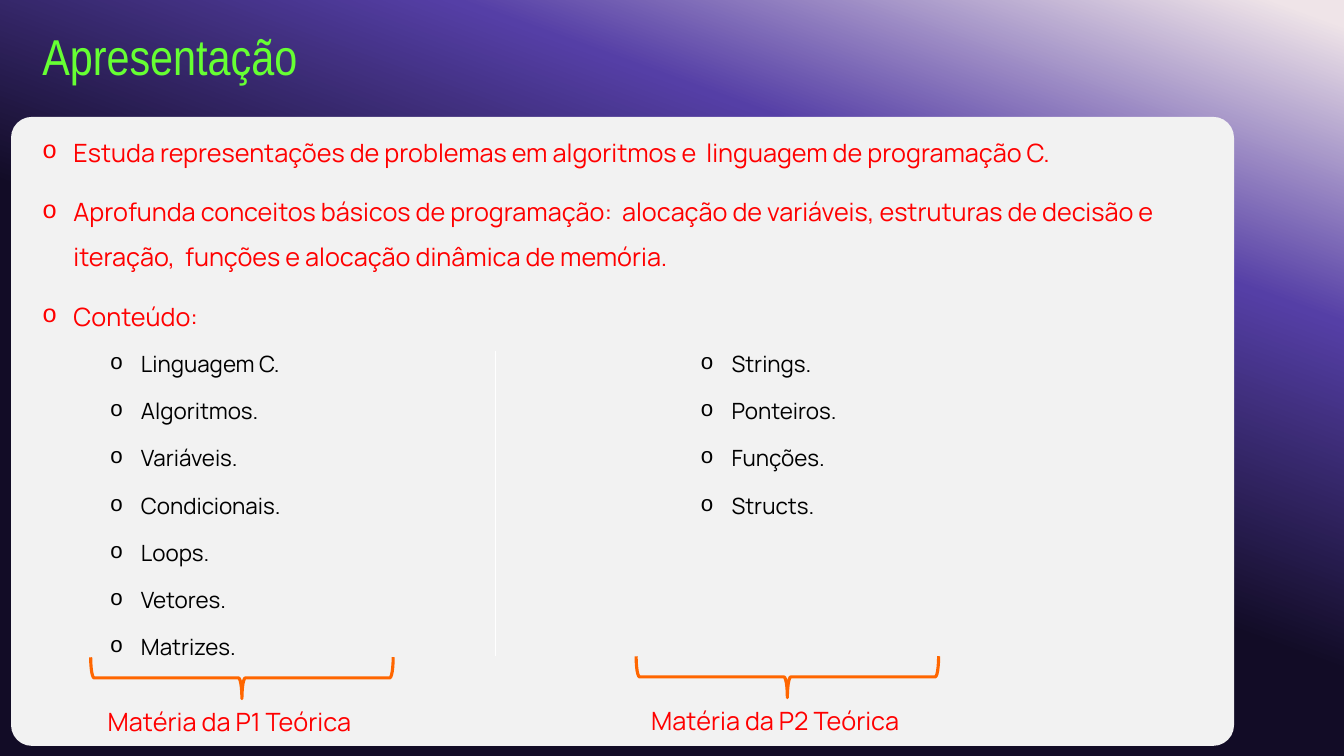
import copy
from collections import namedtuple

import pptx
import pptx.dml.color
import pptx.enum.shapes
import pptx.enum.text
import pptx.oxml.ns
import pptx.util
from lxml import etree

Inches = pptx.util.Inches
Pt = pptx.util.Pt
Box = namedtuple("Box", "left top width height")

RED, ORANGE, BLACK = "FF0000", "FF6600", "000000"
BODY_FONT = "Manrope"

GOALS = [
    "Estuda representações de problemas em algoritmos e  linguagem de programação C.",
    "Aprofunda conceitos básicos de programação:  alocação de variáveis, "
    "estruturas de decisão e iteração,  funções e alocação dinâmica de memória.",
    "Conteúdo:",
]
TOPICS = [
    "Linguagem C.", "Algoritmos.", "Variáveis.", "Condicionais.", "Loops.", "Vetores.",
    "Matrizes.", "Strings.", "Ponteiros.", "Funções.", "Structs.",
]


def color(value):
    return pptx.dml.color.RGBColor.from_string(value)


def lengths(box):
    return [Inches(value) for value in box]


def style(font, size, name, value):
    font.size = Pt(size)
    font.name = name
    font.color.rgb = color(value)


def add_child(parent, tag, **attributes):
    return etree.SubElement(parent, pptx.oxml.ns.qn(tag), attributes)


def paint_background(page, stops, angle):
    fill = page.background.fill
    fill.gradient()
    fill.gradient_angle = 360 - angle
    first = fill.gradient_stops[0]._gs
    for _ in stops[2:]:
        first.addnext(copy.deepcopy(first))
    for stop, (position, value) in zip(fill.gradient_stops, stops):
        stop.position = position
        stop.color.rgb = color(value)


def add_card(page, box):
    card = page.shapes.add_shape(
        pptx.enum.shapes.MSO_SHAPE.ROUNDED_RECTANGLE, *lengths(box))
    card.adjustments[0] = 0.033
    card.shadow.inherit = False
    card.fill.solid()
    card.fill.fore_color.rgb = color("F2F2F2")
    card.line.fill.background()


def set_title(page, box, text):
    title = page.shapes.title
    title.left, title.top, title.width, title.height = lengths(box)
    frame = title.text_frame
    frame.text = text
    frame.auto_size = pptx.enum.text.MSO_AUTO_SIZE.NONE
    frame.vertical_anchor = pptx.enum.text.MSO_ANCHOR.MIDDLE
    para = frame.paragraphs[0]
    para.alignment = pptx.enum.text.PP_ALIGN.LEFT
    para.line_spacing = 0.9
    style(para.runs[0].font, 36, "Arial Narrow", "66FF33")


def add_bullets(page, box, items, size, value, indent, gap, columns=1):
    frame = page.shapes.add_textbox(*lengths(box)).text_frame
    frame.word_wrap = True
    if columns > 1:
        frame._txBody.bodyPr.set("numCol", str(columns))
    for index, item in enumerate(items):
        para = frame.paragraphs[0] if index == 0 else frame.add_paragraph()
        para.text = item
        para.line_spacing = 1.5
        para.space_before = Pt(gap if index else 0)
        properties = para._p.get_or_add_pPr()
        properties.set("marL", str(Inches(indent)))
        properties.set("indent", str(Inches(-0.31)))
        add_child(properties, "a:buFont", typeface="Courier New")
        add_child(properties, "a:buChar", char="o")
        style(para.runs[0].font, size, BODY_FONT, value)


def add_divider(page, left, top, bottom):
    line = page.shapes.add_connector(
        pptx.enum.shapes.MSO_CONNECTOR.STRAIGHT,
        Inches(left), Inches(top), Inches(left), Inches(bottom))
    line.line.color.rgb = color("FFFFFF")
    line.line.width = Pt(0.5)
    add_child(line._element.spPr, "a:effectLst")


def add_exam(page, box, label_offset, label_width, text):
    """Place a downward brace in the box and its label below."""
    # The brace is drawn upright around the box centre, then turned
    brace = page.shapes.add_shape(
        pptx.enum.shapes.MSO_SHAPE.LEFT_BRACE,
        Inches(box.left + (box.width - box.height) / 2),
        Inches(box.top - (box.width - box.height) / 2),
        Inches(box.height), Inches(box.width))
    brace.rotation = 270
    brace.shadow.inherit = False
    brace.fill.background()
    brace.line.color.rgb = color(ORANGE)
    brace.line.width = Pt(2.25)

    label = page.shapes.add_textbox(
        Inches(box.left + label_offset), Inches(box.top + box.height + 0.03),
        Inches(label_width), Inches(0.4))
    frame = label.text_frame
    frame.word_wrap = False
    frame.auto_size = pptx.enum.text.MSO_AUTO_SIZE.SHAPE_TO_FIT_TEXT
    frame.text = text
    style(frame.paragraphs[0].runs[0].font, 18, BODY_FONT, RED)


def build_overview(deck):
    page = deck.slides.add_slide(deck.slide_layouts[5])
    paint_background(
        page, [(0.02, "EFE4E8"), (0.26, "553FA6"), (0.54, "120C26"), (0.96, "120C26")], 110)
    add_card(page, Box(0.11, 1.16, 12.13, 6.24))
    set_title(page, Box(0.32, 0.11, 12.68, 0.95), "Apresentação")

    # Course goals and the two-column list of topics
    add_bullets(page, Box(0.32, 1.16, 11.91, 6.24), GOALS, 18, RED, 0.31, 10)
    add_bullets(page, Box(0.32, 3.29, 11.91, 3.34), TOPICS, 16, BLACK, 0.98, 5, columns=2)
    add_divider(page, 4.91, 3.48, 6.51)

    # Exams that cover each column
    add_exam(page, Box(0.9, 6.52, 3, 0.41), 0.07, 2.86, "Matéria da P1 Teórica")
    add_exam(page, Box(6.31, 6.51, 3, 0.41), 0.05, 2.93, "Matéria da P2 Teórica")


def main():
    deck = pptx.Presentation()
    deck.slide_width = Inches(13.33)
    deck.slide_height = Inches(7.5)
    build_overview(deck)
    deck.save("out.pptx")


if __name__ == "__main__":
    main()
